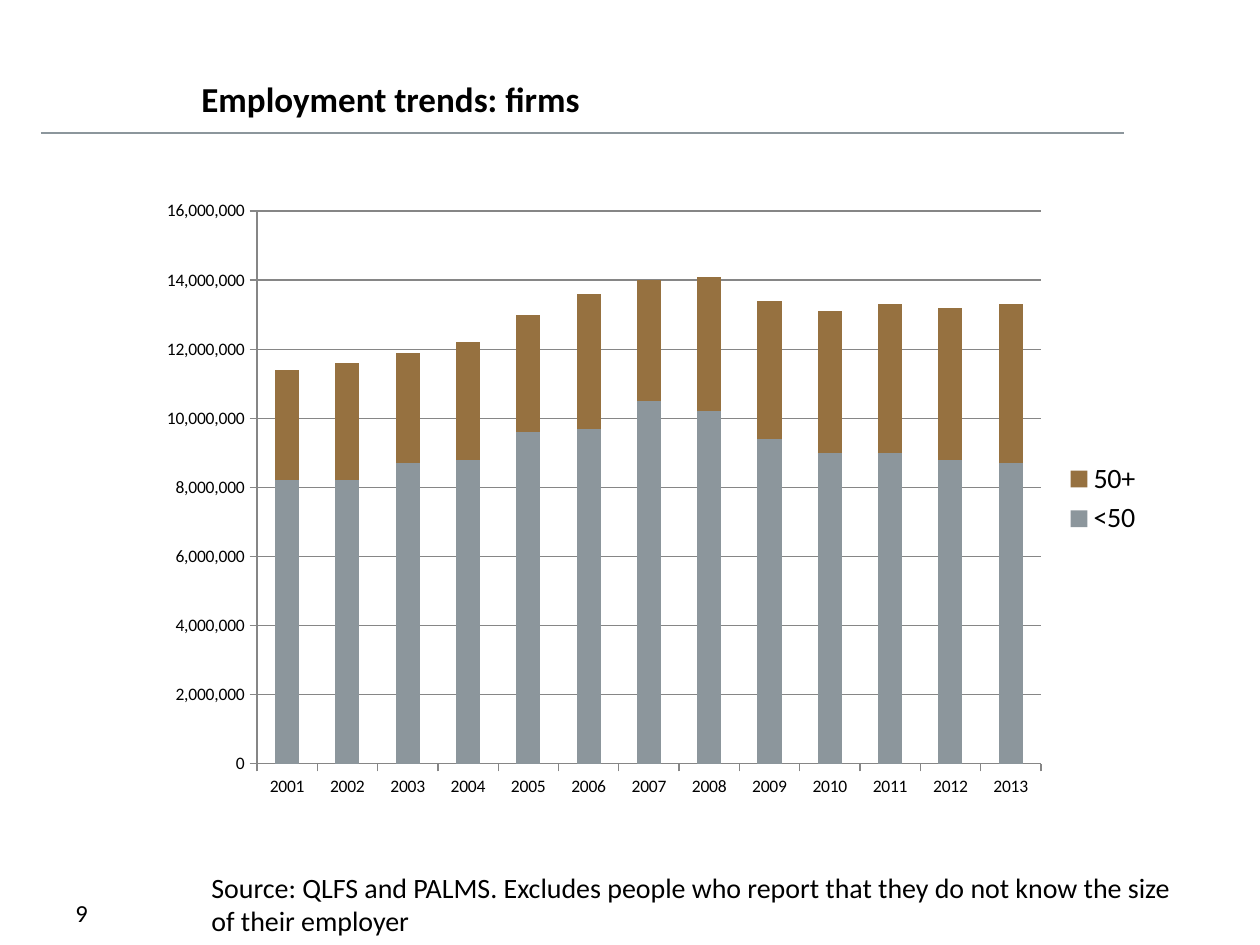
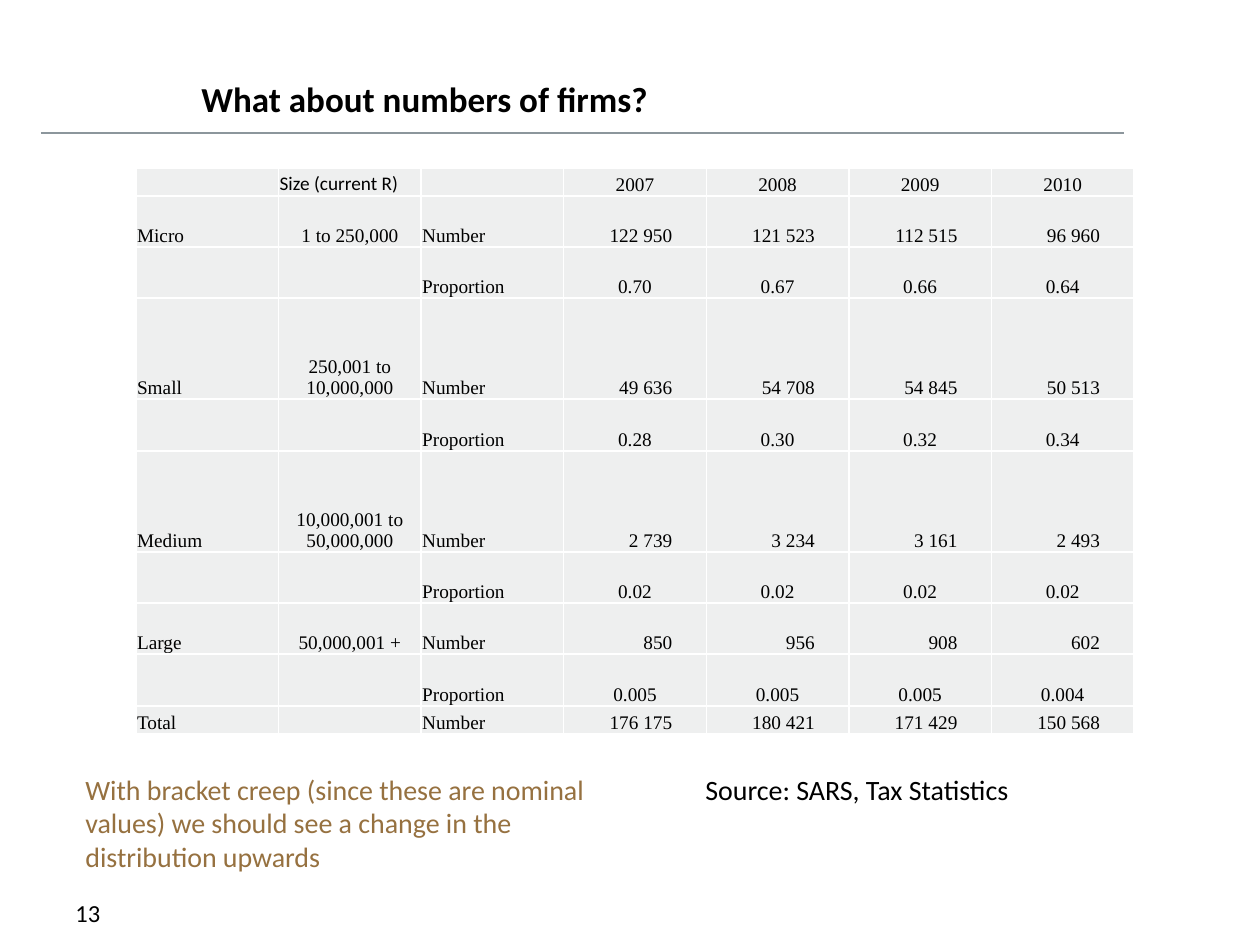
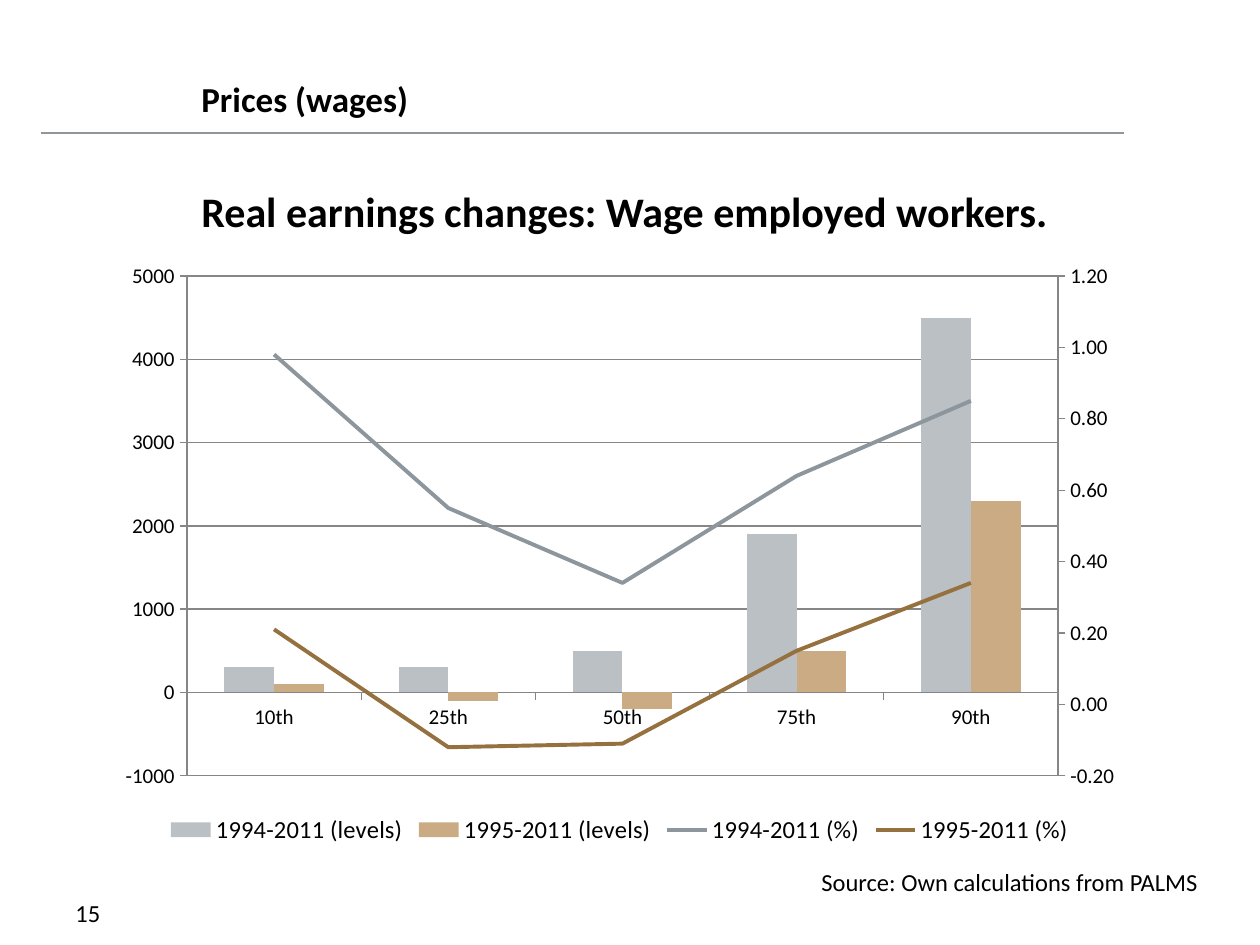
from copy import deepcopy
from dataclasses import dataclass

from lxml.etree import SubElement
from pptx import Presentation
from pptx.chart.axis import CategoryAxis, ValueAxis
from pptx.chart.data import CategoryChartData
from pptx.dml.color import RGBColor
from pptx.enum.chart import XL_CHART_TYPE as ChartType
from pptx.enum.chart import XL_LEGEND_POSITION as LegendPosition
from pptx.enum.chart import XL_MARKER_STYLE as MarkerStyle
from pptx.enum.chart import XL_TICK_MARK as TickMark
from pptx.enum.shapes import MSO_CONNECTOR as Connector
from pptx.enum.text import MSO_ANCHOR as Anchor
from pptx.enum.text import PP_ALIGN as Align
from pptx.oxml import parse_xml
from pptx.oxml.ns import nsdecls, qn
from pptx.util import Pt

PX = 914400 // 126


@dataclass(frozen=True)
class Theme:
    font: str = "Calibri"
    table_font: str = "Times New Roman"
    black: RGBColor = RGBColor(0x00, 0x00, 0x00)
    slate: RGBColor = RGBColor(0x8C, 0x96, 0x9C)
    brown: RGBColor = RGBColor(0x96, 0x71, 0x40)
    pale_slate: RGBColor = RGBColor(0xBA, 0xC0, 0xC4)
    pale_brown: RGBColor = RGBColor(0xCA, 0xAB, 0x83)
    axis: RGBColor = RGBColor(0x86, 0x86, 0x86)
    cell: RGBColor = RGBColor(0xEE, 0xEF, 0xEF)
    heading: int = 24
    title: int = 20
    body: int = 16
    small: int = 14
    axis_label: int = 12
    table: int = 11
    tiny: int = 10


theme = Theme()


def add_text(page, area, text, size, color=theme.black, bold=False, anchor=Anchor.TOP):
    box = page.shapes.add_textbox(*(length * PX for length in area))
    frame = box.text_frame
    frame.word_wrap = True
    frame.vertical_anchor = anchor
    span = frame.paragraphs[0].add_run()
    span.text = text
    span.font.name = theme.font
    span.font.size = Pt(size)
    span.font.bold = bold
    span.font.color.rgb = color


def style_chart(chart, area, plot_area, label_size, legend_position, legend_size):
    """Set fonts, axes, legend and the inner plot area, given in slide pixels."""
    chart.has_title = False
    chart.font.name = theme.font
    chart.font.size = Pt(theme.tiny)
    chart.font.color.rgb = theme.black
    chart.has_legend = True
    chart.legend.position = legend_position
    chart.legend.include_in_layout = False
    chart.legend.font.size = Pt(legend_size)
    for axis in (chart.category_axis, chart.value_axis):
        axis.major_tick_mark = TickMark.OUTSIDE
        axis.minor_tick_mark = TickMark.NONE
        axis.tick_labels.font.size = Pt(label_size)
        axis.format.line.color.rgb = theme.axis
        axis.format.line.width = Pt(0.75)
    chart.value_axis.has_major_gridlines = True
    grid_line = chart.value_axis.major_gridlines.format.line
    grid_line.color.rgb = theme.axis
    grid_line.width = Pt(0.75)

    left, top, width, height = area
    plot_left, plot_top, plot_width, plot_height = plot_area
    fractions = {
        "x": (plot_left - left) / width,
        "y": (plot_top - top) / height,
        "w": plot_width / width,
        "h": plot_height / height,
    }
    plot_element = chart._chartSpace.chart.plotArea
    for layout in plot_element.findall(qn("c:layout")):
        plot_element.remove(layout)
    layout = parse_xml(f"<c:layout {nsdecls('c')}/>")
    manual = SubElement(layout, qn("c:manualLayout"))
    SubElement(manual, qn("c:layoutTarget"), val="inner")
    for side in "xy":
        SubElement(manual, qn(f"c:{side}Mode"), val="edge")
    for side, fraction in fractions.items():
        SubElement(manual, qn(f"c:{side}"), val=f"{fraction:.4f}")
    plot_element.insert(0, layout)


deck = Presentation()
deck.slide_width = 1260 * PX
deck.slide_height = 945 * PX

# Shared title, rule and page number
pages = []
for title, number in (
    ("Employment trends: firms", "9"),
    ("What about numbers of firms?", "13"),
    ("Prices (wages)", "15"),
):
    page = deck.slides.add_slide(deck.slide_layouts[6])
    rule = page.shapes.add_connector(Connector.STRAIGHT, 41 * PX, 133 * PX, 1124 * PX, 133 * PX)
    rule.line.color.rgb = theme.slate
    rule.line.width = Pt(1)
    SubElement(rule._element.spPr, qn("a:effectLst"))
    add_text(page, (63, 892, 262, 63), number, theme.small)
    add_text(page, (189, 63, 924, 63), title, theme.title, bold=True, anchor=Anchor.BOTTOM)
    pages.append(page)
trends_page, firms_page, wages_page = pages

# Employment by firm size
add_text(
    trends_page,
    (199, 864, 1006, 81),
    "Source: QLFS and PALMS. Excludes people who report that they do not know the size of their employer",
    theme.body,
)
employment = CategoryChartData(number_format="#,##0")
employment.categories = [str(year) for year in range(2001, 2014)]
millions = {
    "<50": (8.2, 8.2, 8.7, 8.8, 9.6, 9.7, 10.5, 10.2, 9.4, 9.0, 9.0, 8.8, 8.7),
    "50+": (3.2, 3.4, 3.2, 3.4, 3.4, 3.9, 3.5, 3.9, 4.0, 4.1, 4.3, 4.4, 4.6),
}
for name, values in millions.items():
    employment.add_series(name, [round(value * 1_000_000) for value in values])
area = (147, 189, 1008, 620)
chart = trends_page.shapes.add_chart(
    ChartType.COLUMN_STACKED, *(length * PX for length in area), employment
).chart
style_chart(chart, area, (257, 211, 784, 553), theme.tiny, LegendPosition.RIGHT, theme.body)
chart.value_axis.minimum_scale = 0
chart.value_axis.maximum_scale = 16_000_000
chart.value_axis.major_unit = 2_000_000
chart.value_axis.tick_labels.number_format = "#,##0"
chart.value_axis.tick_labels.number_format_is_linked = False
columns = chart.plots[0]
columns.vary_by_categories = False
columns.gap_width = 150
columns.overlap = 100
for series, color in zip(columns.series, (theme.slate, theme.brown)):
    series.format.fill.solid()
    series.format.fill.fore_color.rgb = color

# Number and share of firms by size
firm_rows = (
    (28, ("", "Size (current R)", "", "2007", "2008", "2009", "2010")),
    (51, ("Micro", "1 to 250,000", "Number", "122 950", "121 523", "112 515", "96 960")),
    (51, ("", "", "Proportion", "0.70", "0.67", "0.66", "0.64")),
    (101, ("Small", "250,001 to 10,000,000", "Number", "49 636", "54 708", "54 845", "50 513")),
    (52, ("", "", "Proportion", "0.28", "0.30", "0.32", "0.34")),
    (101, ("Medium", "10,000,001 to 50,000,000", "Number", "2 739", "3 234", "3 161", "2 493")),
    (51, ("", "", "Proportion", "0.02", "0.02", "0.02", "0.02")),
    (51, ("Large", "50,000,001 +", "Number", "850", "956", "908", "602")),
    (52, ("", "", "Proportion", "0.005", "0.005", "0.005", "0.004")),
    (28, ("Total", "", "Number", "176 175", "180 421", "171 429", "150 568")),
)
table = firms_page.shapes.add_table(
    len(firm_rows), 7, 136 * PX, 168 * PX, 998 * PX, 566 * PX
).table
for row_index, (height, texts) in enumerate(firm_rows):
    table.rows[row_index].height = height * PX
    for column_index, text in enumerate(texts):
        cell = table.cell(row_index, column_index)
        cell.vertical_anchor = Anchor.BOTTOM
        cell.margin_left = cell.margin_right = cell.margin_top = PX
        cell.margin_bottom = 0
        cell.fill.solid()
        cell.fill.fore_color.rgb = theme.cell
        for position, side in enumerate("LRTB"):
            border = parse_xml(
                f'<a:ln{side} {nsdecls("a")} w="12700"><a:solidFill>'
                f'<a:srgbClr val="FFFFFF"/></a:solidFill></a:ln{side}>'
            )
            cell._tc.tcPr.insert(position, border)

        para = cell.text_frame.paragraphs[0]
        is_size_heading = row_index == 0 and column_index == 1
        if column_index in (0, 2) or is_size_heading:
            para.alignment = Align.LEFT
        elif column_index > 2 and texts[2] == "Number":
            para.alignment = Align.RIGHT
            cell.margin_right = 34 * PX
        else:
            para.alignment = Align.CENTER
        if text:
            span = para.add_run()
            span.text = text
            span.font.name = theme.font if is_size_heading else theme.table_font
            span.font.size = Pt(theme.table)
            span.font.color.rgb = theme.black
        else:
            SubElement(para._p, qn("a:endParaRPr"), sz=str(theme.table * 100))
add_text(firms_page, (693, 766, 536, 47), "Source: SARS, Tax Statistics", theme.body)
add_text(
    firms_page,
    (73, 766, 525, 115),
    "With bracket creep (since these are nominal values) we should see a change in the distribution upwards",
    theme.body,
    theme.brown,
)

# Real earnings: levels as columns, percentages as lines on the right axis
add_text(wages_page, (809, 861, 410, 43), "Source: Own calculations from PALMS", theme.small)
earnings = CategoryChartData()
earnings.categories = ("10th", "25th", "50th", "75th", "90th")
earnings.add_series("1994-2011 (levels)", (300, 300, 500, 1900, 4500))
earnings.add_series("1995-2011 (levels)", (100, -100, -200, 500, 2300))
earnings.add_series("1994-2011 (%)", (0.98, 0.55, 0.34, 0.64, 0.85))
earnings.add_series("1995-2011 (%)", (0.21, -0.12, -0.11, 0.15, 0.34))
area = (105, 252, 1029, 598)
chart = wages_page.shapes.add_chart(
    ChartType.COLUMN_CLUSTERED, *(length * PX for length in area), earnings
).chart
style_chart(chart, area, (187, 276, 871, 500), theme.axis_label, LegendPosition.BOTTOM, theme.small)
chart.value_axis.minimum_scale = -1000
chart.value_axis.maximum_scale = 5000
chart.value_axis.major_unit = 1000
chart.value_axis.tick_labels.number_format = "0"
chart.value_axis.tick_labels.number_format_is_linked = False

columns = chart.plots[0]
columns.vary_by_categories = False
columns.gap_width = 150
columns.overlap = 0
line_chart = parse_xml(
    f'<c:lineChart {nsdecls("c")}><c:grouping val="standard"/><c:varyColors val="0"/>'
    '<c:marker val="1"/><c:axId val="5001"/><c:axId val="5002"/></c:lineChart>'
)
marker_flag = line_chart.find(qn("c:marker"))
for series in list(columns.series)[2:]:
    element = series._element
    for invert in element.findall(qn("c:invertIfNegative")):
        element.remove(invert)
    marker_flag.addprevious(element)
columns._element.addnext(line_chart)

hidden_element = deepcopy(chart.category_axis._element)
right_element = deepcopy(chart.value_axis._element)
for element, own_id, cross_id in (
    (hidden_element, "5001", "5002"),
    (right_element, "5002", "5001"),
):
    element.find(qn("c:axId")).set("val", own_id)
    element.find(qn("c:crossAx")).set("val", cross_id)
right_element.find(qn("c:axPos")).set("val", "r")
right_element.find(qn("c:crosses")).set("val", "max")
chart.value_axis._element.addnext(hidden_element)
hidden_element.addnext(right_element)
CategoryAxis(hidden_element).visible = False
right_axis = ValueAxis(right_element)
right_axis.has_major_gridlines = False
right_axis.minimum_scale = -0.2
right_axis.maximum_scale = 1.2
right_axis.major_unit = 0.2
right_axis.tick_labels.number_format = "0.00"

for series, color in zip(columns.series, (theme.pale_slate, theme.pale_brown)):
    series.invert_if_negative = False
    series.format.fill.solid()
    series.format.fill.fore_color.rgb = color
for series, color in zip(chart.plots[1].series, (theme.slate, theme.brown)):
    series.smooth = False
    series.marker.style = MarkerStyle.NONE
    series.format.line.color.rgb = color
    series.format.line.width = Pt(2.25)
add_text(
    wages_page,
    (189, 179, 882, 63),
    "Real earnings changes: Wage employed workers.",
    theme.heading,
    bold=True,
)

deck.save("out.pptx")
